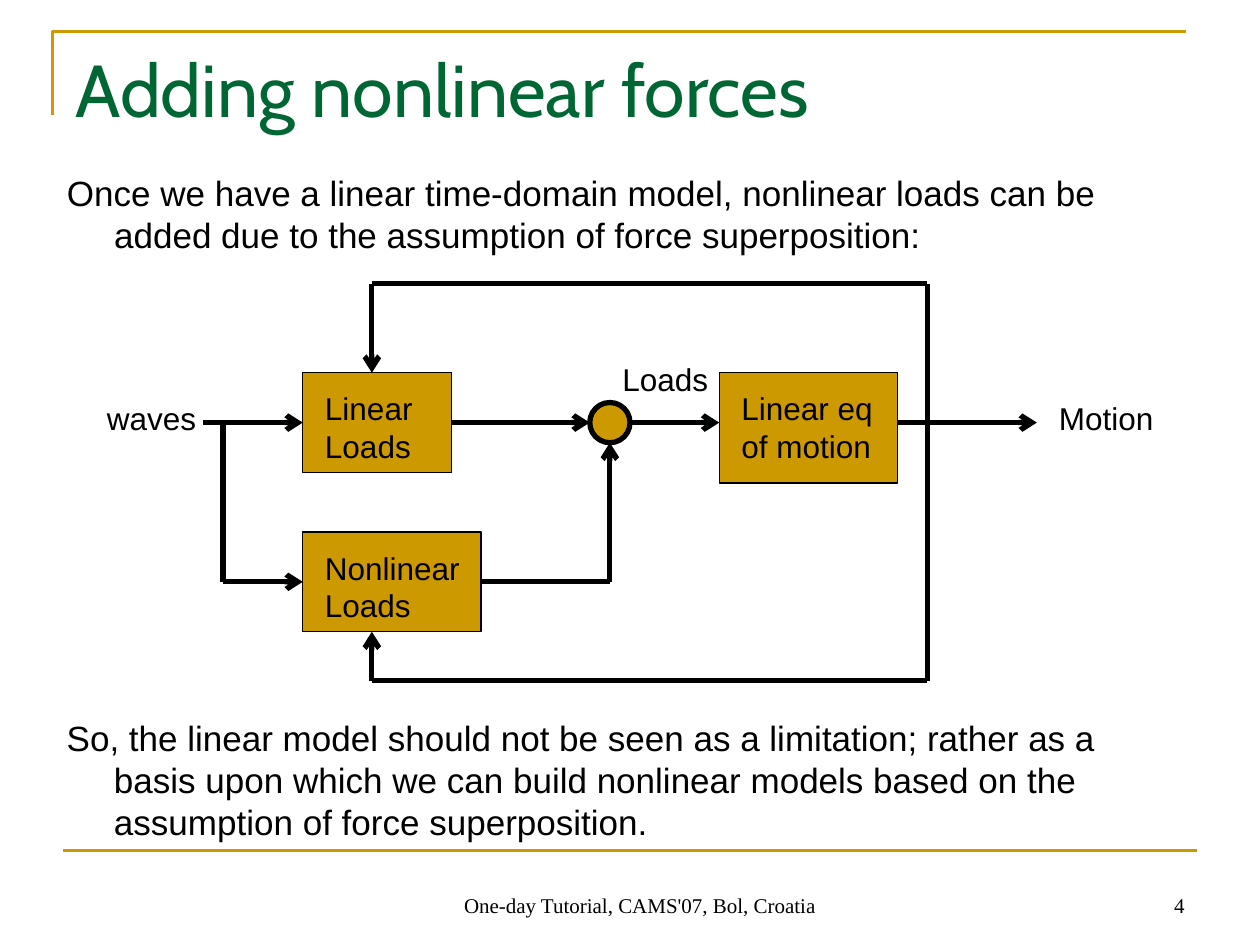
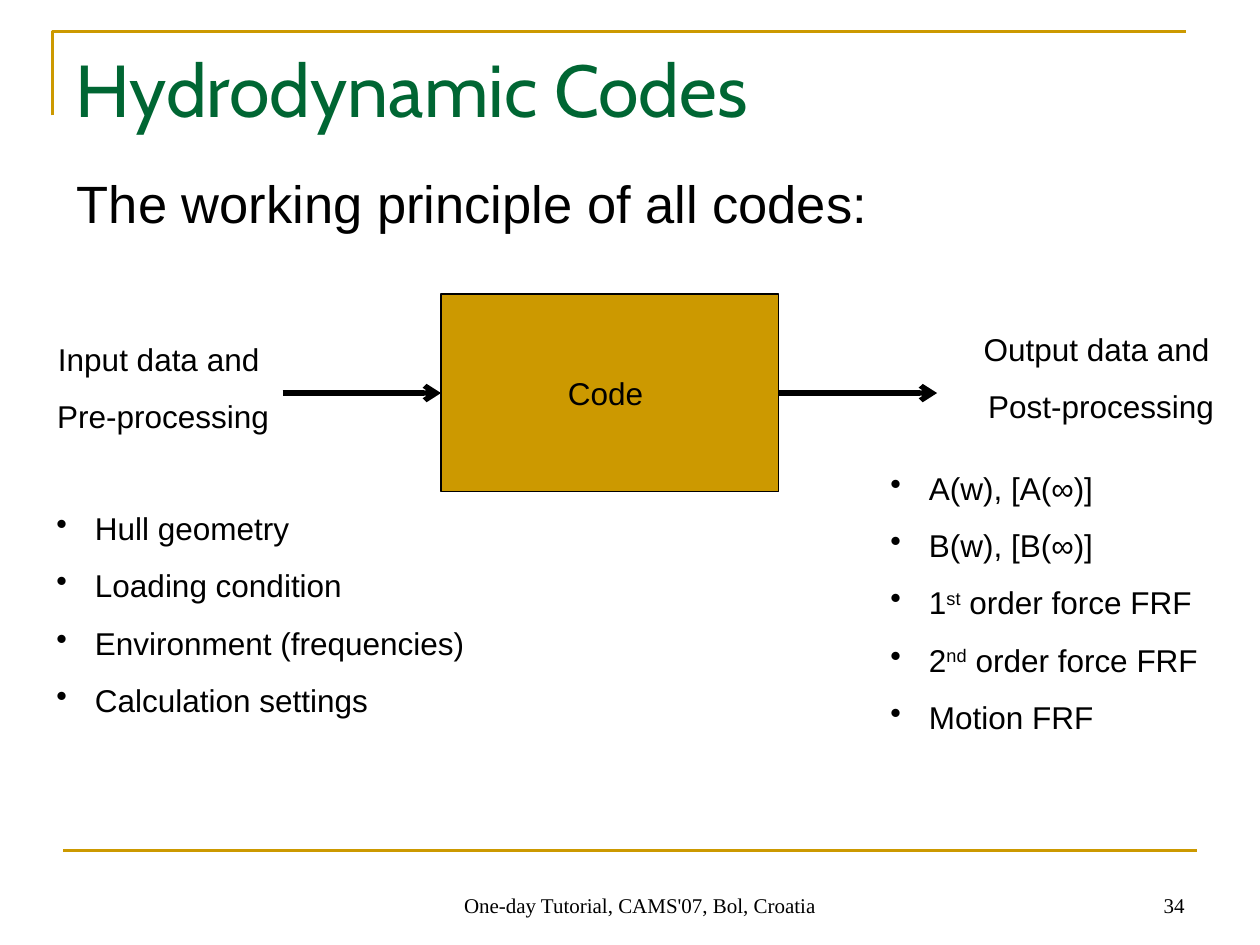
from lxml import etree
from pptx import Presentation
from pptx import util as u
from pptx.dml.color import RGBColor
from pptx.enum import shapes, text
from pptx.oxml.ns import qn

GOLD, GREEN, BLACK = "CC9900", "006633", "000000"
SANS, SERIF, HEAD = "Arial", "Times New Roman", "Cabin"
LEFT, CENTER, RIGHT = text.PP_ALIGN.LEFT, text.PP_ALIGN.CENTER, text.PP_ALIGN.RIGHT
TOP, MIDDLE, BOTTOM = text.MSO_ANCHOR.TOP, text.MSO_ANCHOR.MIDDLE, text.MSO_ANCHOR.BOTTOM
FOOTER = "One-day Tutorial, CAMS'07, Bol, Croatia"


def color(value):
    return RGBColor.from_string(value)


def pts(*values):
    return [u.Pt(v) for v in values]


def write(tf, paras, size=18, font=SANS, fill=BLACK, align=LEFT, anchor=TOP,
          before=0, hang=0, bullet=None):
    tf.word_wrap = True
    tf.auto_size = text.MSO_AUTO_SIZE.NONE
    tf.vertical_anchor = anchor
    for i, para in enumerate([paras] if isinstance(paras, str) else paras):
        p = tf.paragraphs[0] if i == 0 else tf.add_paragraph()
        pPr = p._p.get_or_add_pPr()
        pPr.set("marL", str(u.Pt(hang)))
        pPr.set("indent", str(u.Pt(-hang)))
        if bullet:
            etree.SubElement(pPr, qn("a:buChar")).set("char", bullet)
        else:
            etree.SubElement(pPr, qn("a:buNone"))
        p.alignment = align
        p.space_before = u.Pt(before if i else 0)
        for j, part in enumerate([para] if isinstance(para, str) else para):
            r = p.add_run()
            r.text = part
            r.font.size, r.font.name = u.Pt(size), font
            r.font.color.rgb = color(fill)
            if j % 2:
                r._r.get_or_add_rPr().set("baseline", "30000")


class Deck:
    def __init__(self):
        self.prs = Presentation()
        self.prs.slide_width, self.prs.slide_height = pts(720, 540)
        self.s = None

    def slide(self, title, number):
        self.s = self.prs.slides.add_slide(self.prs.slide_layouts[1])
        self.corner((30, 66), (30, 18), (678, 18))
        self.line((36, 486), (684, 486), GOLD, 1.5)
        self.text(FOOTER, 224, 492, 283.5, 36, size=12, font=SERIF,
                  align=CENTER, anchor=BOTTOM)
        self.text(str(number), 516, 492, 168, 36, size=12, font=SERIF,
                  align=RIGHT, anchor=BOTTOM)
        self.place(self.s.shapes.title, title, 36, 21.6, 648, 90,
                   size=42, font=HEAD, fill=GREEN)

    def place(self, sp, paras, x, y, w, h, **style):
        sp.left, sp.top, sp.width, sp.height = pts(x, y, w, h)
        write(sp.text_frame, paras, **style)

    def body(self, paras, x, y, w, h, **style):
        self.place(self.s.placeholders[1], paras, x, y, w, h, hang=27, **style)

    def text(self, paras, x, y, w, h, **style):
        sp = self.s.shapes.add_textbox(*pts(x, y, w, h))
        write(sp.text_frame, paras, **style)

    def corner(self, start, *rest):
        fb = self.s.shapes.build_freeform(*pts(*start), scale=1.0)
        fb.add_line_segments([pts(*point) for point in rest], close=False)
        sp = fb.convert_to_shape()
        sp.shadow.inherit = False
        sp.fill.background()
        sp.line.color.rgb, sp.line.width = color(GOLD), u.Pt(1.5)

    def line(self, start, end, stroke=BLACK, width=3, arrow=False):
        c = self.s.shapes.add_connector(shapes.MSO_CONNECTOR.STRAIGHT,
                                        *pts(*start, *end))
        c.line.color.rgb, c.line.width = color(stroke), u.Pt(width)
        if arrow:
            etree.SubElement(c.line._get_or_add_ln(), qn("a:tailEnd")).set("type", "arrow")
        etree.SubElement(c._element.spPr, qn("a:effectLst"))

    def route(self, *points, arrow=True):
        for i, (start, end) in enumerate(zip(points, points[1:]), 2):
            self.line(start, end, arrow=arrow and i == len(points))

    def shape(self, kind, x, y, w, h, width=0.75):
        sp = self.s.shapes.add_shape(kind, *pts(x, y, w, h))
        sp.shadow.inherit = False
        sp.fill.solid()
        sp.fill.fore_color.rgb = color(GOLD)
        sp.line.color.rgb, sp.line.width = color(BLACK), u.Pt(width)
        return sp

    def block(self, label, x, y, w, h, inset=None, **style):
        sp = self.shape(shapes.MSO_SHAPE.RECTANGLE, x, y, w, h)
        if inset:
            sp.text_frame.margin_left, sp.text_frame.margin_top = pts(*inset)
        write(sp.text_frame, label, **style)


def nonlinear_forces(d):
    d.slide("Adding nonlinear forces", 4)
    d.body("Once we have a linear time-domain model, nonlinear loads can be added "
           "due to the assumption of force superposition:", 31, 94.3, 647, 67.7, size=20)

    signal_y, lower_y = 241.5, 332.5
    top_y, bottom_y = 162, 389
    branch_x, loads_x, sum_x, feedback_x = 127.5, 212.5, 348.5, 530
    radius = 11.5

    for label, x, y, w, h in (("Linear Loads", 173, 213, 85, 57),
                              ("Linear eq of motion", 411, 213, 102, 63),
                              ("Nonlinear Loads", 173, 304, 102, 57)):
        d.block(label, x, y, w, h, inset=(12.7, 9.5))
    d.shape(shapes.MSO_SHAPE.OVAL, sum_x - radius, signal_y - radius,
            2 * radius, 2 * radius, width=3)
    for label, x, y in (("waves", 54, 224.6), ("Loads", 348.5, 202.3),
                        ("Motion", 598, 224.6)):
        d.text(label, x, y, 73.5, 29)

    for start, end in ((116, 173), (258, sum_x - radius),
                       (sum_x + radius, 411), (513, 592.5)):
        d.route((start, signal_y), (end, signal_y))
    d.route((branch_x, signal_y), (branch_x, lower_y), (173, lower_y))
    d.route((275, lower_y), (sum_x, lower_y), (sum_x, signal_y + radius))
    d.route((feedback_x, bottom_y), (feedback_x, top_y), (loads_x, top_y),
            (loads_x, 213))
    d.route((feedback_x, bottom_y), (loads_x, bottom_y), (loads_x, 361))

    d.text("So, the linear model should not be seen as a limitation; rather as a basis "
           "upon which we can build nonlinear models based on the assumption of force "
           "superposition.", 31, 406, 647, 67.7, size=20, hang=27)


def hydrodynamic_codes(d):
    d.slide("Hydrodynamic Codes", 34)
    d.body("The working principle of all codes:", 36.7, 94.3, 648, 62.6, size=30)

    d.block("Code ", 252, 168, 193, 113, align=CENTER, anchor=MIDDLE)
    for x in (161.5, 445):
        d.route((x, 224.6), (x + 90.5, 224.6))

    gap = 11.2
    d.text(["Input data and ", "Pre-processing"], 13.7, 190.8, 159, 62,
           align=CENTER, before=gap)
    d.text(["Output data and ", "Post-processing"], 547.2, 185, 164, 62,
           align=CENTER, before=gap)
    d.text(["Hull geometry", "Loading condition", "Environment (frequencies)",
            "Calculation settings"], 25.2, 287.3, 255, 127.5,
           before=gap, hang=22, bullet="•")
    d.text(["A(w), [A(∞)]", "B(w), [B(∞)]", ("1", "st", " order force FRF"),
            ("2", "nd", " order force FRF"), "Motion FRF"], 501.8, 264.3, 198.7, 160.5,
           before=gap, hang=22, bullet="•")


def main():
    d = Deck()
    nonlinear_forces(d)
    hydrodynamic_codes(d)
    d.prs.save("out.pptx")


if __name__ == "__main__":
    main()
